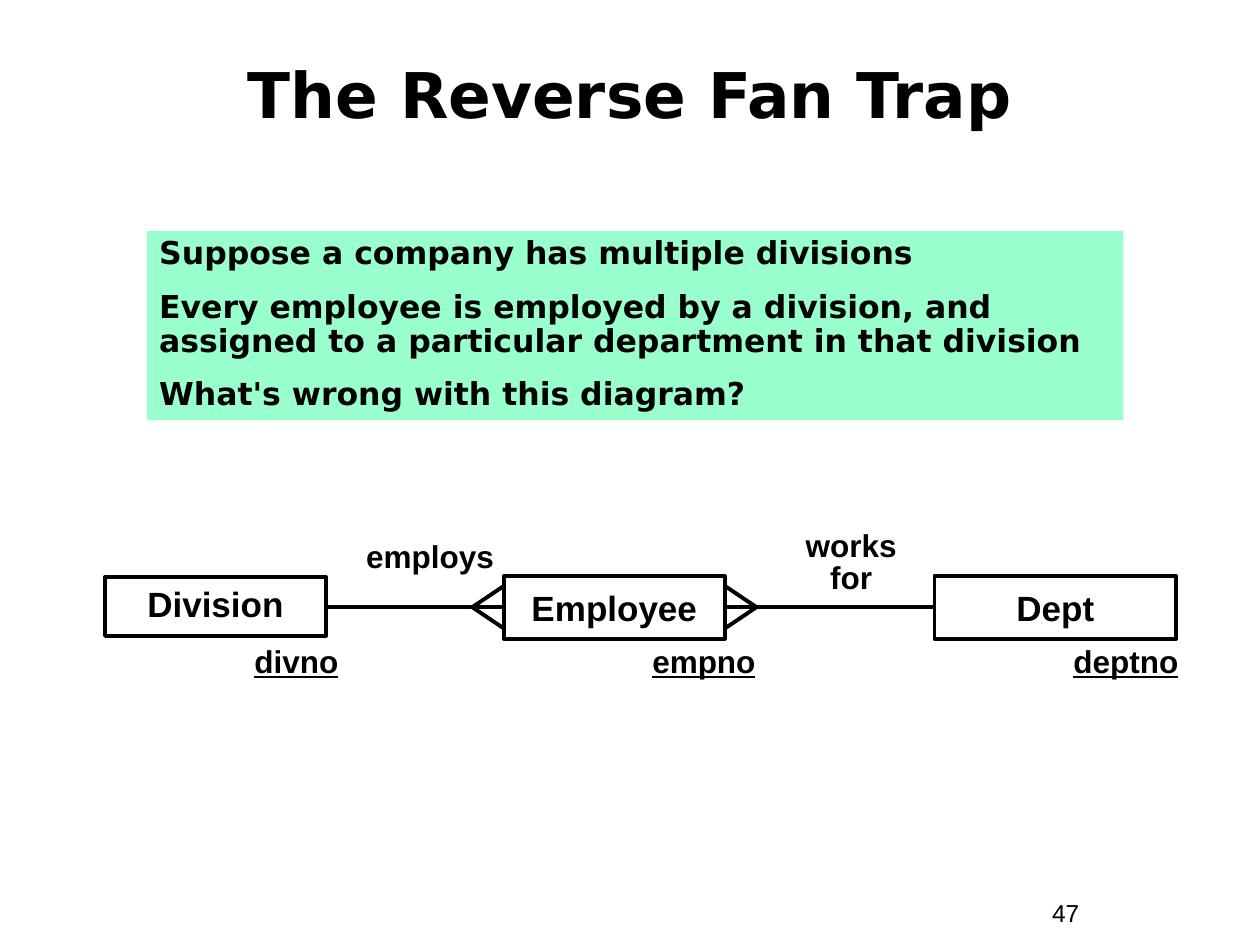
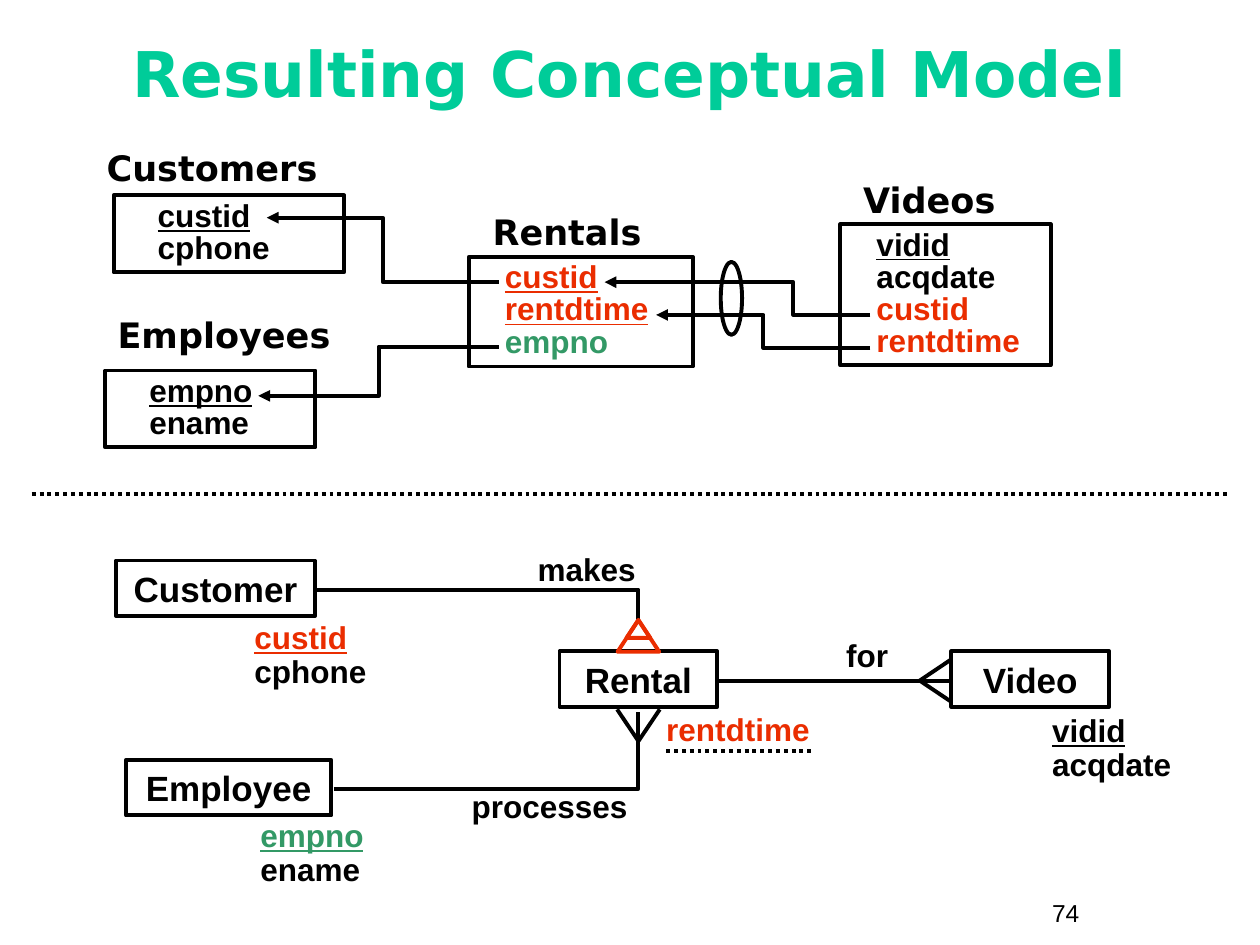
from dataclasses import dataclass

from lxml.etree import SubElement
from pptx import Presentation
from pptx.dml.color import RGBColor
from pptx.enum.dml import MSO_LINE
from pptx.enum.shapes import MSO_CONNECTOR, MSO_SHAPE
from pptx.enum.text import MSO_ANCHOR, PP_ALIGN
from pptx.oxml.ns import qn
from pptx.util import Cm, Pt


@dataclass(frozen=True)
class Theme:
    black: str = "000000"
    red: str = "EA2D00"
    green: str = "339966"
    teal: str = "00CC99"
    mint: str = "99FFCC"
    display: str = "DejaVu Sans"
    body: str = "Arial"
    title_size: int = 36
    entity_size: int = 20
    label_size: int = 18
    number_size: int = 14
    stroke: float = 2.25


THEME = Theme()


@dataclass(frozen=True)
class Box:
    left: float
    top: float
    width: float
    height: float

    def inner(self, left, top, width, height):
        return Box(self.left + left, self.top + top, width, height)

    def point(self, x, y):
        return self.left + x, self.top + y

    def lengths(self):
        return [Cm(side) for side in (self.left, self.top, self.width, self.height)]


@dataclass(frozen=True)
class Words:
    text: str
    color: str = THEME.black
    underline: bool = False


def write(shape, lines, size=THEME.label_size, font=THEME.body, bold=True,
          align=PP_ALIGN.LEFT, anchor=MSO_ANCHOR.TOP, spacing=0.9, gap=0, indent=0):
    frame = shape.text_frame
    frame.word_wrap = True
    frame.vertical_anchor = anchor
    frame.margin_left = Cm(0.25 + indent)
    for index, words in enumerate(lines):
        para = frame.paragraphs[0] if index == 0 else frame.add_paragraph()
        para.alignment = align
        para.line_spacing = spacing
        para.space_before = Pt(gap if index else 0)
        span = para.add_run()
        span.text = words.text
        span.font.size = Pt(size)
        span.font.name = font
        span.font.bold = bold
        span.font.underline = words.underline
        span.font.color.rgb = RGBColor.from_string(words.color)


def add_label(page, box, *lines, **style):
    write(page.shapes.add_textbox(*box.lengths()), lines, **style)


def add_outline(page, kind, box, color=THEME.black):
    shape = page.shapes.add_shape(kind, *box.lengths())
    shape.shadow.inherit = False
    shape.fill.background()
    shape.line.color.rgb = RGBColor.from_string(color)
    shape.line.width = Pt(THEME.stroke)
    return shape


def add_line(page, start, end, kind=MSO_CONNECTOR.STRAIGHT, dotted=False):
    line = page.shapes.add_connector(kind, *[Cm(value) for value in (*start, *end)])
    line.line.color.rgb = RGBColor.from_string(THEME.black)
    line.line.width = Pt(THEME.stroke)
    if dotted:
        line.line.dash_style = MSO_LINE.ROUND_DOT
    SubElement(line._element.spPr, qn("a:effectLst"))
    return line


def add_corner(page, start, end):
    corner = add_line(page, start, end, MSO_CONNECTOR.ELBOW)
    corner._element.spPr.find(qn("a:prstGeom")).set("prst", "bentConnector2")


def add_reference(page, start, end, bend):
    arrow = add_line(page, start, end, MSO_CONNECTOR.ELBOW)
    geometry = arrow._element.spPr.find(qn("a:prstGeom"))
    guides = geometry.find(qn("a:avLst"))
    if guides is None:
        guides = SubElement(geometry, qn("a:avLst"))
    SubElement(guides, qn("a:gd"), name="adj1", fmla=f"val {round(bend * 100000)}")
    SubElement(arrow.line._get_or_add_ln(), qn("a:tailEnd"), type="triangle")


def add_crow_foot(page, tip, reach_x=0, reach_y=0, spread=0.43):
    x, y = tip
    for side in (-spread, spread):
        across_x, across_y = (0, side) if reach_x else (side, 0)
        add_line(page, tip, (x + reach_x + across_x, y + reach_y + across_y))


def add_entity(page, box, name, spacing=1.0):
    shape = add_outline(page, MSO_SHAPE.RECTANGLE, box)
    write(shape, [Words(name)], size=THEME.entity_size, align=PP_ALIGN.CENTER,
          anchor=MSO_ANCHOR.MIDDLE, spacing=spacing)


def add_title(page, box, text, color):
    add_label(page, box, Words(text, color), size=THEME.title_size, font=THEME.display,
              align=PP_ALIGN.CENTER, anchor=MSO_ANCHOR.MIDDLE, spacing=0.85)


def add_page_number(page, number):
    add_label(page, Box(20.96, 17.98, 2.33, 0.86), Words(str(number)),
              size=THEME.number_size, bold=False, spacing=1.0)


def add_question(page, box):
    panel = page.shapes.add_shape(MSO_SHAPE.RECTANGLE, *box.lengths())
    panel.shadow.inherit = False
    panel.fill.solid()
    panel.fill.fore_color.rgb = RGBColor.from_string(THEME.mint)
    panel.line.fill.background()
    write(panel, [
        Words("Suppose a company has multiple divisions"),
        Words("Every employee is employed by a division, and "
              "assigned to a particular department in that division"),
        Words("What's wrong with this diagram?"),
    ], font=THEME.display, gap=11.2)


def add_fan_trap(page, box):
    division = box.inner(0, 1.04, 4.45, 1.19)
    employee = box.inner(8.04, 1.02, 4.45, 1.27)
    dept = box.inner(16.72, 1.02, 4.87, 1.27)
    add_entity(page, division, "Division", spacing=0.85)
    add_entity(page, employee, "Employee")
    add_entity(page, dept, "Dept")

    axis = box.top + 1.65
    for near, far in ((division, employee), (employee, dept)):
        add_line(page, (near.left + near.width + 0.04, axis), (far.left - 0.04, axis))
    add_crow_foot(page, (employee.left - 0.64, axis), reach_x=0.64)
    add_crow_foot(page, (employee.left + employee.width + 0.64, axis), reach_x=-0.64)

    verb = {"align": PP_ALIGN.CENTER, "spacing": 0.85}
    add_label(page, box.inner(4.43, 0.23, 4.24, 0.91), Words("employs"), **verb)
    add_label(page, box.inner(12.92, 0, 4.24, 1.55), Words("works"), Words("for"), **verb)
    for key, left in (("divno", 2.76), ("empno", 10.78), ("deptno", 19.27)):
        add_label(page, box.inner(left, 2.31, 2.97, 0.94), Words(key, underline=True))


def add_relation(page, name, heading, fields_box, fields, indent):
    add_label(page, heading, Words(name), size=THEME.entity_size,
              font=THEME.display, spacing=1.0)
    shape = add_outline(page, MSO_SHAPE.RECTANGLE, fields_box)
    write(shape, fields, spacing=0.85, indent=indent)


def add_schema(page, box):
    red, green = THEME.red, THEME.green
    relations = [
        ("Customers", (0, 0, 5.46, 1.12), (0.39, 1.12, 4.65, 1.55), 0.64,
         [Words("custid", underline=True), Words("cphone")]),
        ("Employees", (0.22, 3.38, 5.46, 1.12), (0.22, 4.65, 4.24, 1.55), 0.64,
         [Words("empno", underline=True), Words("ename")]),
        ("Rentals", (7.78, 1.29, 3.56, 1.12), (7.55, 2.36, 4.52, 2.21), 0.48,
         [Words("custid", red, True), Words("rentdtime", red, True), Words("empno", green)]),
        ("Videos", (15.25, 0.66, 3.56, 1.12), (15.04, 1.7, 4.24, 2.84), 0.48,
         [Words("vidid", underline=True), Words("acqdate"),
          Words("custid", red), Words("rentdtime", red)]),
    ]
    for name, heading, fields_box, indent, fields in relations:
        add_relation(page, name, box.inner(*heading), box.inner(*fields_box), fields, indent)

    references = [
        ((8.16, 2.87), (3.48, 1.57), 0.5),
        ((8.16, 4.17), (3.31, 5.16), 0.5),
        ((15.65, 3.53), (10.29, 2.87), 0.29),
        ((15.65, 4.19), (11.33, 3.53), 0.5),
    ]
    for start, end, bend in references:
        add_reference(page, box.point(*start), box.point(*end), bend)
    add_outline(page, MSO_SHAPE.OVAL, box.inner(12.63, 2.46, 0.43, 1.47))


def add_rental_diagram(page, box):
    entities = [
        ("Customer", 0, 0.25, 4.01),
        ("Employee", 0.2, 4.27, 4.14),
        ("Rental", 8.94, 2.08, 3.18),
        ("Video", 16.84, 2.08, 3.18),
    ]
    for name, left, top, width in entities:
        add_entity(page, box.inner(left, top, width, 1.12), name)

    attributes = [
        (2.54, 1.37, Words("custid", THEME.red, True), Words("cphone")),
        (2.66, 5.36, Words("empno", THEME.green, True), Words("ename")),
        (18.62, 3.25, Words("vidid", underline=True), Words("acqdate")),
    ]
    for left, top, *fields in attributes:
        add_label(page, box.inner(left, top, 3.61, 1.63), *fields)
    add_label(page, box.inner(10.84, 3.22, 3.61, 0.94), Words("rentdtime", THEME.red))
    add_line(page, box.point(11.09, 4.09), box.point(14.04, 4.09), dotted=True)

    axis = 10.53
    add_corner(page, box.point(4.06, 0.84), box.point(axis, 1.45))
    add_corner(page, box.point(4.39, 4.85), box.point(axis, 3.3))
    add_line(page, box.point(12.16, 2.67), box.point(16.79, 2.67))
    add_crow_foot(page, box.point(axis, 3.89), reach_y=-0.64)
    add_crow_foot(page, box.point(16.2, 2.67), reach_x=0.64)
    for width, height in ((0.84, 0.64), (0.48, 0.36)):
        add_outline(page, MSO_SHAPE.ISOSCELES_TRIANGLE,
                    box.inner(axis - width / 2, 1.45, width, height), THEME.red)

    add_label(page, box.inner(8.25, 0, 2.97, 0.94), Words("makes"))
    add_label(page, box.inner(14.47, 1.73, 1.57, 0.94), Words("for"))
    add_label(page, box.inner(6.55, 4.77, 4.01, 0.94), Words("processes"),
              align=PP_ALIGN.RIGHT)


def build_fan_trap_page(page):
    add_page_number(page, 47)
    add_title(page, Box(0.84, 0.84, 23.71, 2.33), "The Reverse Fan Trap", THEME.black)
    add_fan_trap(page, Box(2.12, 10.59, 21.59, 3.25))
    add_question(page, Box(2.96, 4.66, 19.69, 3.81))


def build_model_page(page):
    add_page_number(page, 74)
    add_title(page, Box(1.9, 0.42, 21.59, 2.33), "Resulting Conceptual Model", THEME.teal)
    add_rental_diagram(page, Box(2.34, 11.05, 22.23, 6.99))
    add_schema(page, Box(1.9, 2.82, 19.28, 6.2))
    add_line(page, (0.64, 9.96), (24.77, 9.96), dotted=True)


def main():
    deck = Presentation()
    deck.slide_width, deck.slide_height = Cm(25.4), Cm(19.05)
    for build in (build_fan_trap_page, build_model_page):
        build(deck.slides.add_slide(deck.slide_layouts[6]))
    deck.save("out.pptx")


if __name__ == "__main__":
    main()
